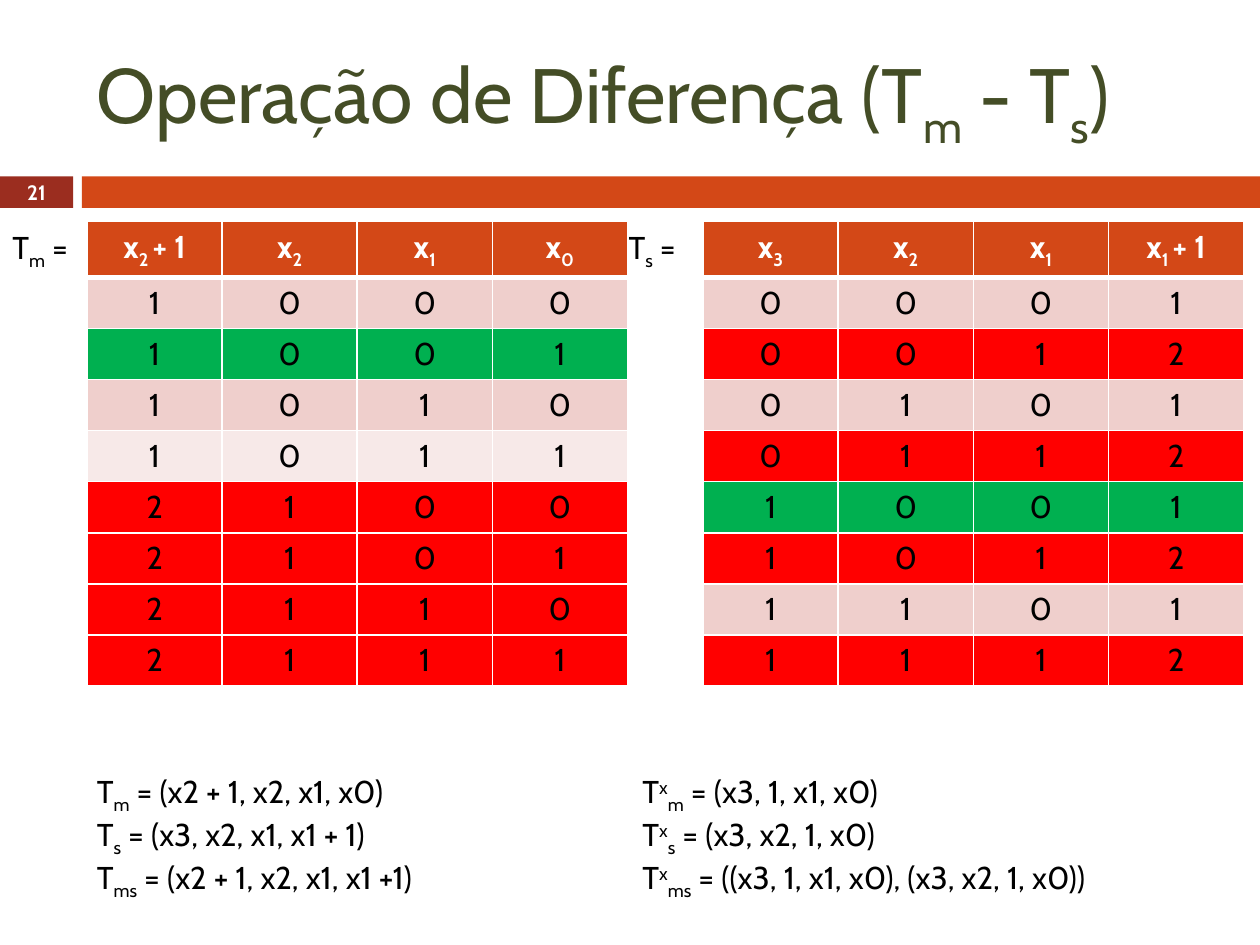
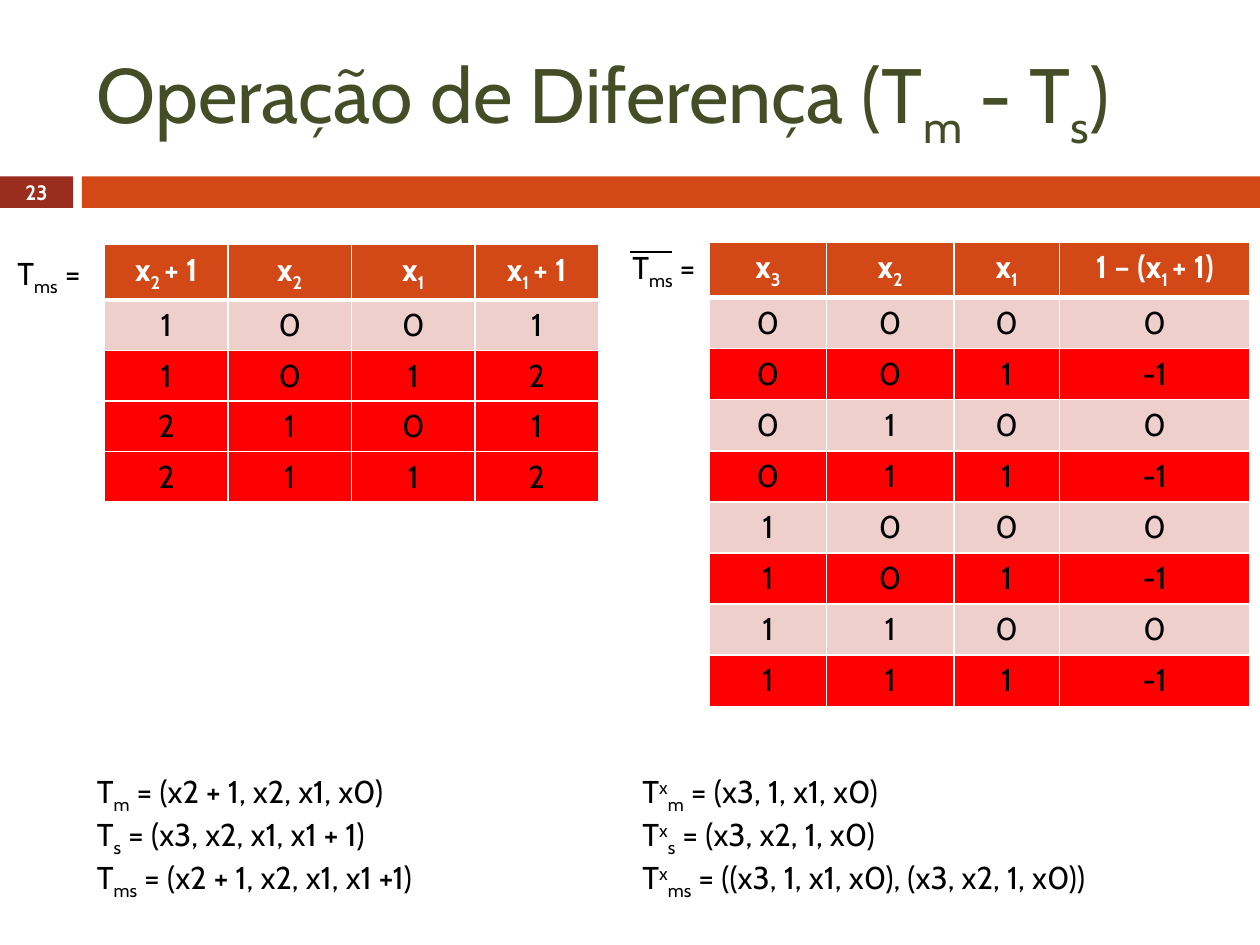
from dataclasses import dataclass
from itertools import product

from lxml import etree
from pptx import Presentation
from pptx import util as u
from pptx.dml.color import RGBColor
from pptx.enum import shapes, text
from pptx.oxml import ns


@dataclass(frozen=True)
class Theme:
    font: str = "Cabin"
    title: str = "444D26"
    ink: str = "000000"
    white: str = "FFFFFF"
    number_band: str = "9B2D1F"
    accent: str = "D34817"
    odd_row: str = "EFCFCC"
    even_row: str = "F7E9E8"
    invalid_row: str = "FF0000"
    shared_row: str = "00B050"
    title_size: float = 44
    body_size: float = 18
    number_size: float = 11.9
    grid_line: float = 1
    header_line: float = 3
    overline: float = 0.79


THEME = Theme()
BASELINES = {"_": "-25000", "^": "30000"}

TITLE = "Operação de Diferença (T{_m} - T{_s})"
TUPLES = [
    "T{_m} = (x2 + 1, x2, x1, x0)",
    "T{_s} = (x3, x2, x1, x1 + 1)",
    "T{_ms} = (x2 + 1, x2, x1, x1 +1)",
]
X_TUPLES = [
    "T{^x}{_m} = (x3, 1, x1, x0)",
    "T{^x}{_s} = (x3, x2, 1, x0)",
    "T{^x}{_ms} = ((x3, 1, x1, x0), (x3, x2, 1, x0))",
]
X0, X1, X2, X3 = (f"x{{_{i}}}" for i in range(4))
X1_PLUS, X2_PLUS = "x{_1 }+ 1", "x{_2 }+ 1"

TM_ROWS = [(x2 + 1, x2, x1, x0) for x2, x1, x0 in product((0, 1), repeat=3)]
TS_ROWS = [(x3, x2, x1, x1 + 1) for x3, x2, x1 in product((0, 1), repeat=3)]
TMS_ROWS = [(x2 + 1, x2, x1, x1 + 1) for x2, x1 in product((0, 1), repeat=2)]
COMPLEMENT_ROWS = [(x3, x2, x1, 1 - (x1 + 1)) for x3, x2, x1 in product((0, 1), repeat=3)]


def rgb(value):
    return RGBColor.from_string(value)


def write(paragraph, markup, size, color, bold=False, align=None):
    """Write text in which {_a} is a subscript and {^a} a superscript."""
    font = paragraph.font
    font.name, font.size, font.bold = THEME.font, u.Pt(size), bold
    font.color.rgb = rgb(color)
    paragraph.alignment = align
    for chunk in filter(None, markup.replace("}", "{").split("{")):
        run = paragraph.add_run()
        baseline = BASELINES.get(chunk[0])
        run.text = chunk[1:] if baseline else chunk
        if baseline:
            run.font._element.set("baseline", baseline)


def add_frame(slide, box, anchor=text.MSO_ANCHOR.MIDDLE):
    frame = slide.shapes.add_textbox(*map(u.Inches, box)).text_frame
    frame.word_wrap = True
    frame.vertical_anchor = anchor
    return frame


def add_formulas(slide, box, lines):
    frame = add_frame(slide, box, text.MSO_ANCHOR.TOP)
    frame.word_wrap = False
    frame.auto_size = text.MSO_AUTO_SIZE.SHAPE_TO_FIT_TEXT
    for i, line in enumerate(lines):
        paragraph = frame.add_paragraph() if i else frame.paragraphs[0]
        write(paragraph, line, THEME.body_size, THEME.ink)


def add_band(slide, box, color):
    band = slide.shapes.add_shape(shapes.MSO_SHAPE.RECTANGLE, *map(u.Inches, box))
    band.shadow.inherit = False
    band.fill.solid()
    band.fill.fore_color.rgb = rgb(color)
    band.line.fill.background()


def add_overline(slide, left, top, width):
    line = slide.shapes.add_connector(
        shapes.MSO_CONNECTOR.STRAIGHT, *map(u.Inches, (left, top, left + width, top)))
    line.line.color.rgb = rgb(THEME.ink)
    line.line.width = u.Pt(THEME.overline)
    etree.SubElement(line._element.spPr, ns.qn("a:effectLst"))


def add_borders(cell, top, bottom):
    properties = cell._tc.get_or_add_tcPr()
    sides = {"L": THEME.grid_line, "R": THEME.grid_line, "T": top, "B": bottom}
    for side, width in sides.items():
        border = etree.SubElement(properties, ns.qn(f"a:ln{side}"), w=str(u.Pt(width)))
        fill = etree.SubElement(border, ns.qn("a:solidFill"))
        etree.SubElement(fill, ns.qn("a:srgbClr"), val=THEME.white)


def row_color(index, row, shared):
    """Rows with a value other than 0 or 1 are invalid."""
    if row in shared:
        return THEME.shared_row
    if not set(row) <= {0, 1}:
        return THEME.invalid_row
    return THEME.odd_row if index % 2 else THEME.even_row


def add_truth_table(slide, box, header, rows, shared=(), widths=None):
    left, top, width, height = box
    count = len(rows) + 1
    table = slide.shapes.add_table(count, len(header), *map(u.Inches, box)).table
    for column, share in zip(table.columns, widths or [width / len(header)] * len(header)):
        column.width = u.Inches(share)
    for r, values in enumerate([header, *rows]):
        table.rows[r].height = u.Inches(height / count)
        fill = row_color(r, values, shared) if r else THEME.accent
        for cell, value in zip(table.rows[r].cells, values):
            add_borders(cell,
                        top=THEME.header_line if r == 1 else THEME.grid_line,
                        bottom=THEME.header_line if r == 0 else THEME.grid_line)
            cell.fill.solid()
            cell.fill.fore_color.rgb = rgb(fill)
            write(cell.text_frame.paragraphs[0], str(value), THEME.body_size,
                  THEME.ink if r else THEME.white, bold=r == 0,
                  align=text.PP_ALIGN.CENTER)


def add_difference_slide(deck, number):
    """Add a slide with the title, bands, number and formulas all slides share."""
    slide = deck.slides.add_slide(deck.slide_layouts[6])
    add_band(slide, (0, 1.4, 0.58, 0.25), THEME.number_band)
    add_band(slide, (0.65, 1.4, 9.35, 0.25), THEME.accent)
    title = add_frame(slide, (0.67, 0.25, 8.92, 1.08))
    write(title.paragraphs[0], TITLE, THEME.title_size, THEME.title)
    page = add_frame(slide, (0, 1.39, 0.58, 0.27))
    write(page.paragraphs[0], str(number), THEME.number_size, THEME.white,
          bold=True, align=text.PP_ALIGN.CENTER)
    add_formulas(slide, (0.67, 6.08, 3.26, 1.01), TUPLES)
    add_formulas(slide, (5, 6.08, 4.03, 1.01), X_TUPLES)
    return slide


def add_operands_slide(deck):
    slide = add_difference_slide(deck, 21)
    shared = set(TM_ROWS) & set(TS_ROWS)
    add_formulas(slide, (0, 1.76, 0.65, 0.4), ["T{_m} ="])
    add_truth_table(slide, (0.69, 1.76, 4.29, 3.65),
                    (X2_PLUS, X2, X1, X0), TM_ROWS, shared)
    add_formulas(slide, (4.89, 1.76, 0.59, 0.4), ["T{_s} ="])
    add_truth_table(slide, (5.58, 1.76, 4.29, 3.65),
                    (X3, X2, X1, X1_PLUS), TS_ROWS, shared)


def add_complement_slide(deck):
    slide = add_difference_slide(deck, 23)
    add_formulas(slide, (0.04, 1.97, 0.71, 0.4), ["T{_ms} ="])
    add_truth_table(slide, (0.83, 1.94, 3.92, 2),
                    (X2_PLUS, X2, X1, X1_PLUS), TMS_ROWS)
    add_overline(slide, 5, 2, 0.33)
    add_formulas(slide, (4.92, 1.92, 0.71, 0.4), ["T{_ms} ="])
    add_truth_table(slide, (5.63, 1.92, 4.29, 3.65),
                    (X3, X2, X1, f"1 – ({X1_PLUS})"), COMPLEMENT_ROWS,
                    widths=(0.93, 1.01, 0.84, 1.51))


def main():
    deck = Presentation()
    deck.slide_width, deck.slide_height = u.Inches(10), u.Inches(7.5)
    add_operands_slide(deck)
    add_complement_slide(deck)
    deck.save("out.pptx")


if __name__ == "__main__":
    main()
